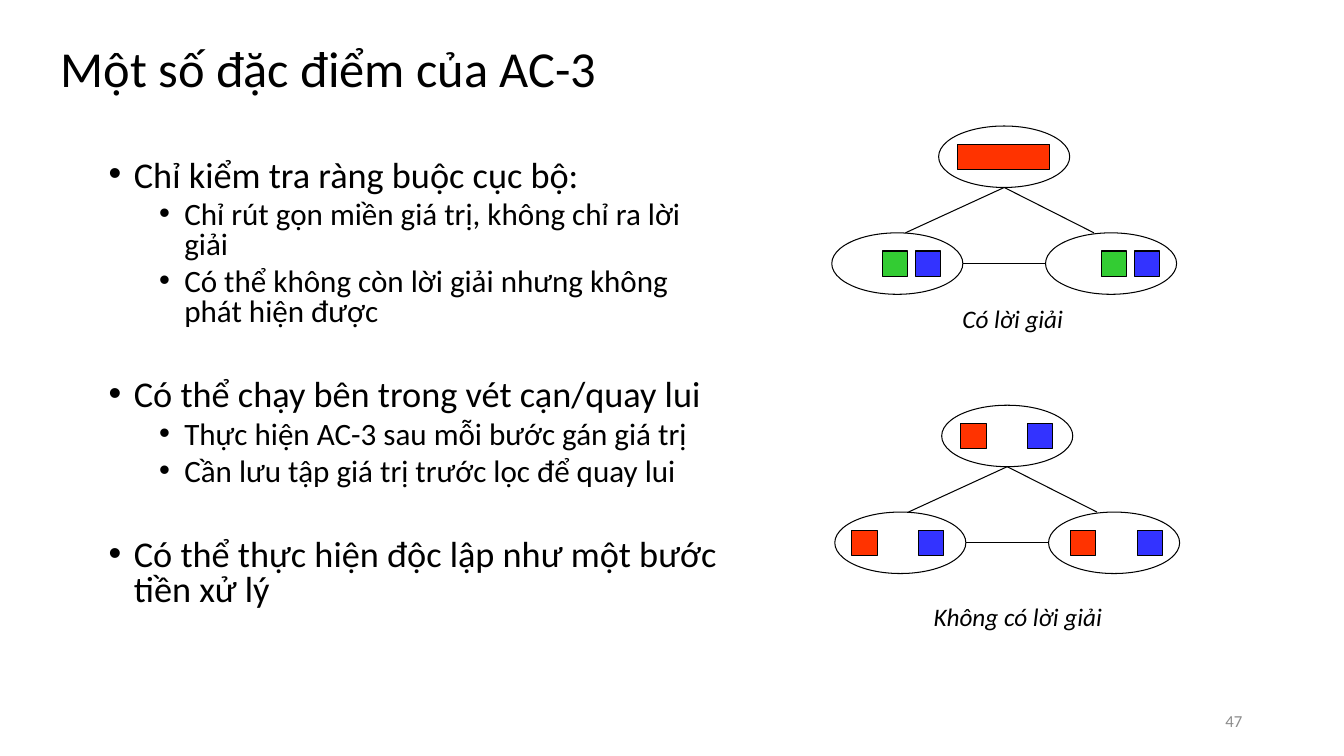
from lxml import etree
from pptx import Presentation
from pptx.dml.color import RGBColor
from pptx.enum.shapes import MSO_CONNECTOR, MSO_SHAPE
from pptx.enum.text import MSO_ANCHOR, PP_ALIGN
from pptx.oxml.ns import qn
from pptx.util import Pt

PX = 9144  # 100 px to the inch
STRAIGHT = MSO_CONNECTOR.STRAIGHT
OVAL, RECTANGLE = MSO_SHAPE.OVAL, MSO_SHAPE.RECTANGLE
MIDDLE, TOP = MSO_ANCHOR.MIDDLE, MSO_ANCHOR.TOP
LEFT, CENTER, RIGHT = PP_ALIGN.LEFT, PP_ALIGN.CENTER, PP_ALIGN.RIGHT

BLACK = RGBColor(0x00, 0x00, 0x00)
GRAY = RGBColor(0x8C, 0x8C, 0x8C)
RED = RGBColor(0xFF, 0x33, 0x00)
GREEN = RGBColor(0x33, 0xCC, 0x33)
BLUE = RGBColor(0x33, 0x33, 0xFF)

# Content
TITLE = "Một số đặc điểm của AC-3"
PAGE = "47"
SECTIONS = [
    ("Chỉ kiểm tra ràng buộc cục bộ:", [
        "Chỉ rút gọn miền giá trị, không chỉ ra lời giải",
        "Có thể không còn lời giải nhưng không phát hiện được"]),
    ("Có thể chạy bên trong vét cạn/quay lui", [
        "Thực hiện AC-3 sau mỗi bước gán giá trị",
        "Cần lưu tập giá trị trước lọc để quay lui"]),
    ("Có thể thực hiện độc lập như một bước tiền xử lý", []),
]

# Node: left, top, left of its first value slot
NODES = {"top": (106, 0, 19), "left": (0, 106, 17), "right": (212, 106, 22)}
NODE_SIZE = (130, 61)
EDGES = [(171, 61, 73, 106), (171, 61, 260, 106), (130, 136, 212, 136)]
SLOT_STEP, VALUE_SIZE, VALUE_TOP = 33, 25, 18

# Values: colour, first slot, number of slots covered
GREEN_BLUE = [(GREEN, 1, 1), (BLUE, 2, 1)]
RED_BLUE = [(RED, 0, 1), (BLUE, 2, 1)]
GRAPHS = [
    {"at": (825, 125), "caption": "Có lời giải", "caption_at": (896, 296),
     "domains": {"top": [(RED, 0, 3)], "left": GREEN_BLUE, "right": GREEN_BLUE}},
    {"at": (828, 402), "caption": "Không có lời giải", "caption_at": (901, 592),
     "domains": {"top": RED_BLUE, "left": RED_BLUE, "right": RED_BLUE}},
]

presentation = Presentation()
presentation.slide_width = 1333 * PX
presentation.slide_height = 750 * PX
slide = presentation.slides.add_slide(presentation.slide_layouts[5])


def add_run(paragraph, text, size, color=BLACK, italic=False):
    run = paragraph.add_run()
    run.text = text
    run.font.name = "Calibri"
    run.font.size = Pt(size)
    run.font.italic = italic
    run.font.color.rgb = color


def add_text_box(left, top, width, height, anchor=TOP):
    box = slide.shapes.add_textbox(left * PX, top * PX, width * PX, height * PX)
    box.text_frame.word_wrap = True
    box.text_frame.vertical_anchor = anchor
    return box.text_frame


def add_bullet(paragraph, text, level, size, space_before):
    properties = paragraph._p.get_or_add_pPr()
    properties.set("marL", str((25 + 50 * level) * PX))
    properties.set("indent", str(-25 * PX))
    etree.SubElement(properties, qn("a:buFont")).set("typeface", "Arial")
    etree.SubElement(properties, qn("a:buChar")).set("char", "•")
    paragraph.level = level
    paragraph.line_spacing = 0.8
    paragraph.space_before = Pt(space_before)
    add_run(paragraph, text, size)


def add_outlined(kind, left, top, width, height, color=None):
    shape = slide.shapes.add_shape(kind, left * PX, top * PX, width * PX, height * PX)
    shape.shadow.inherit = False
    if color is None:
        shape.fill.background()
    else:
        shape.fill.solid()
        shape.fill.fore_color.rgb = color
    shape.line.color.rgb = BLACK
    shape.line.width = Pt(0.75)


def add_edge(x1, y1, x2, y2):
    edge = slide.shapes.add_connector(STRAIGHT, x1 * PX, y1 * PX, x2 * PX, y2 * PX)
    edge.line.color.rgb = BLACK
    edge.line.width = Pt(0.75)
    etree.SubElement(edge._element.spPr, qn("a:effectLst"))


def add_graph(graph):
    x, y = graph["at"]
    for name, (left, top, slot_left) in NODES.items():
        add_outlined(OVAL, x + left, y + top, *NODE_SIZE)
        for color, slot, count in graph["domains"][name]:
            add_outlined(RECTANGLE, x + left + slot_left + slot * SLOT_STEP,
                         y + top + VALUE_TOP,
                         VALUE_SIZE + (count - 1) * SLOT_STEP, VALUE_SIZE, color)
    for x1, y1, x2, y2 in EDGES:
        add_edge(x + x1, y + y1, x + x2, y + y2)
    caption = add_text_box(*graph["caption_at"], 217, 40).paragraphs[0]
    caption.alignment = CENTER
    add_run(caption, graph["caption"], 18, italic=True)


# Title
title = slide.shapes.title
title.left, title.top, title.width, title.height = 50 * PX, 40 * PX, 1150 * PX, 62 * PX
title.text_frame.vertical_anchor = MIDDLE
heading = title.text_frame.paragraphs[0]
heading.alignment = LEFT
heading.line_spacing = 0.9
add_run(heading, TITLE, 36)

# Bulleted text
body = add_text_box(98, 154, 627, 495)
for index, (point, details) in enumerate(SECTIONS):
    paragraph = body.add_paragraph() if index else body.paragraphs[0]
    add_bullet(paragraph, point, 0, 25.9, 36.7 if index else 0)
    for detail in details:
        add_bullet(body.add_paragraph(), detail, 1, 22.2, 5)

# Constraint graphs
for graph in GRAPHS:
    add_graph(graph)

# Page number
page = add_text_box(942, 695, 300, 40, MIDDLE).paragraphs[0]
page.alignment = RIGHT
add_run(page, PAGE, 12, GRAY)

presentation.save("out.pptx")
